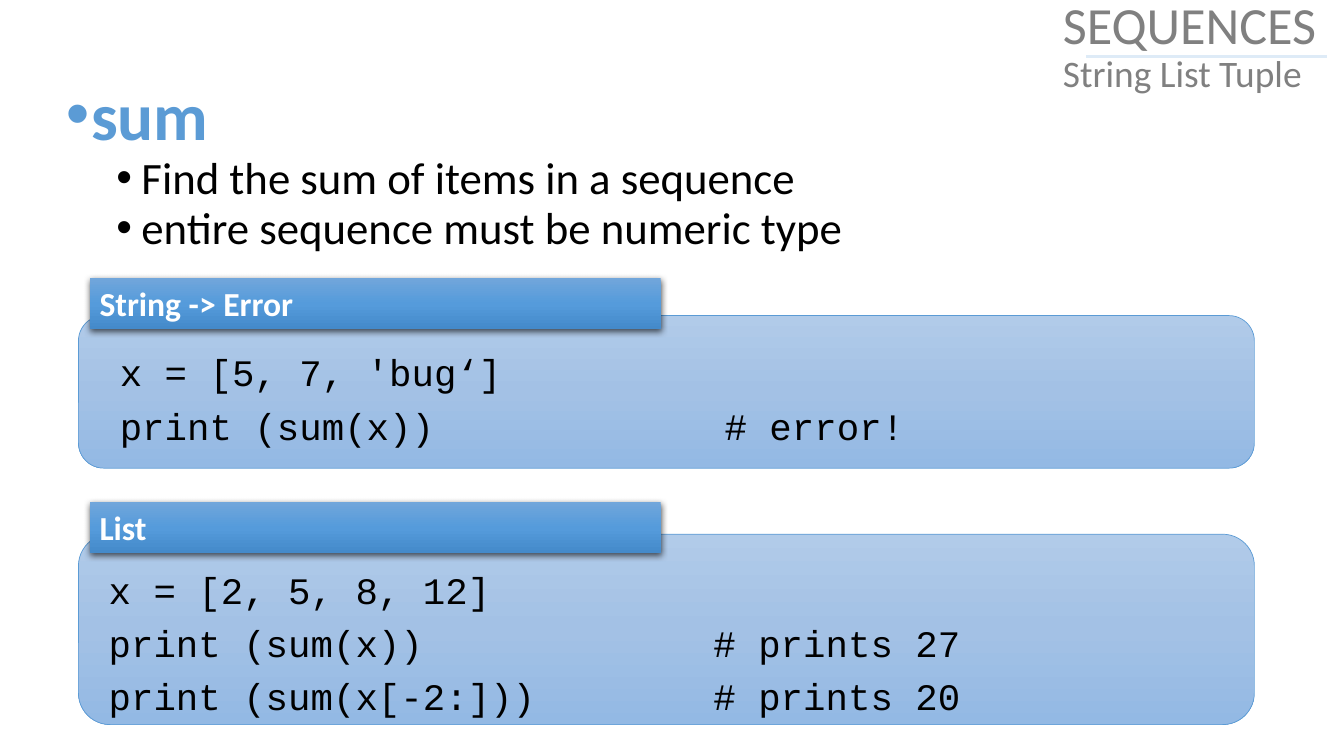
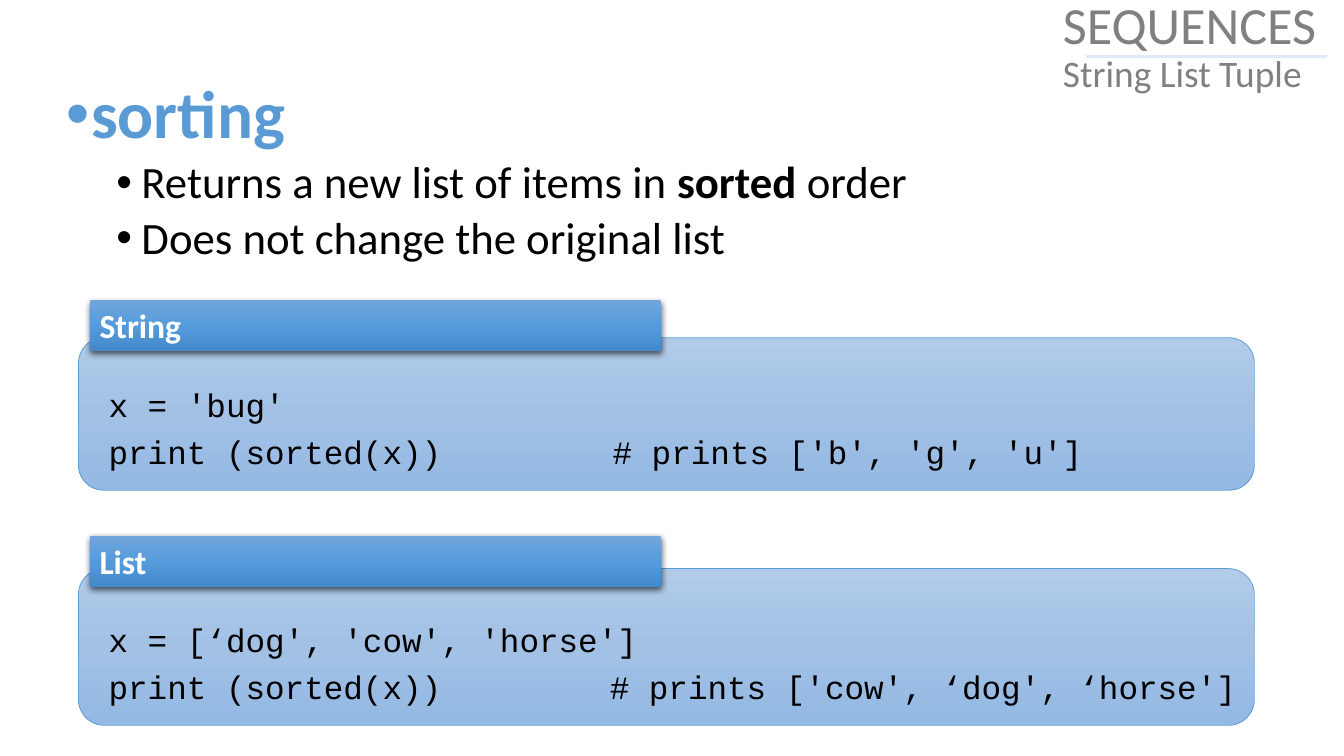
from copy import deepcopy

from pptx import Presentation
from pptx.dml.color import RGBColor
from pptx.enum import shapes as es, text as et
from pptx.oxml.ns import qn
from pptx.oxml.xmlchemy import OxmlElement
from pptx.util import Pt

# Colours and fonts
BLUE = RGBColor(0x5B, 0x9B, 0xD5)
PALE = RGBColor(0xDE, 0xEB, 0xF7)
GREY = RGBColor(0x80, 0x80, 0x80)
BLACK = RGBColor(0, 0, 0)
WHITE = RGBColor(0xFF, 0xFF, 0xFF)
PANEL = [RGBColor(0xB1, 0xCB, 0xE9), RGBColor(0xA3, 0xC1, 0xE5),
         RGBColor(0x93, 0xB9, 0xE4)]
LABEL = [RGBColor(0x71, 0xA6, 0xDB), RGBColor(0x55, 0x9B, 0xDB),
         RGBColor(0x44, 0x8A, 0xCA)]
SANS, MONO = "Calibri", "Courier New"


def child(parent, tag, **attrs):
    """Append an XML element with the given attributes."""
    node = OxmlElement(tag)
    for key, value in attrs.items():
        node.set(key, str(value))
    parent.append(node)
    return node


def style(font, size, color, name=SANS, bold=False):
    font.size, font.name, font.bold = Pt(size), name, bold
    font.color.rgb = color


def shade(shape, colors):
    """Fill from top to bottom with evenly spaced colours."""
    shape.fill.gradient()
    shape.fill.gradient_angle = 270
    stops = shape._element.spPr.find(".//" + qn("a:gsLst"))
    while len(stops) < len(colors):
        stops.append(deepcopy(stops[-1]))
    for i, (stop, color) in enumerate(zip(shape.fill.gradient_stops, colors)):
        stop.color.rgb = color
        stop.position = i / (len(colors) - 1)


class Deck:
    def __init__(self):
        self.prs = Presentation()
        self.prs.slide_width, self.prs.slide_height = Pt(960), Pt(540)
        self.slide = None

    def page(self):
        """Start a slide with the shared title and rule."""
        self.slide = self.prs.slides.add_slide(self.prs.slide_layouts[5])
        title = self.slide.shapes.title
        title.left, title.top = Pt(752), Pt(-2)
        title.width, title.height = Pt(216), Pt(72)
        frame = title.text_frame
        frame.auto_size = et.MSO_AUTO_SIZE.NONE
        frame.vertical_anchor = et.MSO_ANCHOR.MIDDLE
        para = frame.paragraphs[0]
        para.alignment, para.line_spacing = et.PP_ALIGN.LEFT, 0.9
        style(para.font, 26.7, GREY)
        head = para.add_run()
        head.text, head.font.size = "SEQUENCES", Pt(37.3)
        para.add_line_break()
        para.add_run().text = "String List Tuple"
        rule = self.slide.shapes.add_connector(
            es.MSO_CONNECTOR.STRAIGHT, Pt(776), Pt(40.5), Pt(948), Pt(40.5))
        rule.line.color.rgb, rule.line.width = PALE, Pt(2)
        child(rule._element.spPr, "a:effectLst")

    def body(self, top, height, gap, head, points):
        """Heading and bullets; text between asterisks is bold."""
        box = self.slide.shapes.add_textbox(
            Pt(40), Pt(top), Pt(864), Pt(height))
        frame = box.text_frame
        frame.word_wrap = True
        for i, line in enumerate([head] + points):
            para = frame.add_paragraph() if i else frame.paragraphs[0]
            props = para._p.get_or_add_pPr()
            props.set("marL", str(Pt(54 if i else 18)))
            props.set("indent", str(Pt(-18)))
            child(props, "a:buFont", typeface="Arial")
            child(props, "a:buChar", char="•")
            para.line_spacing, para.space_before = gap, Pt(5 if i else 10)
            if i:
                style(para.font, 32, BLACK)
            else:
                style(para.font, 48, BLUE, bold=True)
            for j, part in enumerate(line.split("*")):
                run = para.add_run()
                run.text = part
                if j % 2:
                    run.font.bold = True

    def panel(self, top, height, label, label_top, code, code_top,
              size, tab, left=56):
        """Rounded code panel with a label on its upper edge."""
        group = self.slide.shapes.add_group_shape().shapes
        # Panel
        back = group.add_shape(es.MSO_SHAPE.ROUNDED_RECTANGLE,
                               Pt(56), Pt(top), Pt(840), Pt(height))
        back.shadow.inherit = False
        shade(back, PANEL)
        back.line.color.rgb, back.line.width = BLUE, Pt(0.5)
        # Code, with comments aligned at a tab stop
        box = group.add_textbox(Pt(left), Pt(code_top), Pt(856),
                                Pt(top + height - code_top))
        frame = box.text_frame
        frame.word_wrap = True
        frame.margin_left, frame.margin_right = Pt(21.6), Pt(9.6)
        frame.margin_top = frame.margin_bottom = Pt(4.8)
        for i, line in enumerate(code):
            para = frame.add_paragraph() if i else frame.paragraphs[0]
            tabs = child(para._p.get_or_add_pPr(), "a:tabLst")
            child(tabs, "a:tab", pos=Pt(tab), algn="l")
            para.space_before = Pt(6)
            style(para.font, size, BLACK, MONO)
            para.add_run().text = line
        # Label
        tag = group.add_shape(es.MSO_SHAPE.RECTANGLE,
                              Pt(64), Pt(label_top), Pt(408), Pt(36.4))
        shade(tag, LABEL)
        tag.line.fill.background()
        tag.shadow.inherit = False
        effects = tag._element.spPr.find(qn("a:effectLst"))
        shadow = child(effects, "a:outerShdw", blurRad=Pt(4.5), dist=Pt(1.5),
                       dir=5400000, algn="ctr", rotWithShape=0)
        child(child(shadow, "a:srgbClr", val=BLACK), "a:alpha", val=63000)
        frame = tag.text_frame
        frame.word_wrap = True
        frame.vertical_anchor = et.MSO_ANCHOR.TOP
        para = frame.paragraphs[0]
        para.alignment = et.PP_ALIGN.LEFT
        style(para.font, 24, WHITE, bold=True)
        para.add_run().text = label


def main():
    deck = Deck()

    # Sum
    deck.page()
    deck.body(60, 131, 0.8, "sum", ["Find the sum of items in a sequence",
                                    "entire sequence must be numeric type"])
    deck.panel(225.4, 109, "String -> Error", 198.7,
               ["x = [5, 7, 'bug‘]", "print (sum(x))\t# error!"],
               244.8, 26.7, 432, left=64)
    deck.panel(381.6, 136, "List", 358.6,
               ["x = [2, 5, 8, 12]", "print (sum(x))\t# prints 27",
                "print (sum(x[-2:]))\t# prints 20"],
               400.3, 26.7, 432)

    # Sorting
    deck.page()
    deck.body(54, 152, 0.9, "sorting",
              ["Returns a new list of items in *sorted* order",
               "Does not change the original list"])
    deck.panel(241.2, 109, "String", 214.6,
               ["x = 'bug'", "print (sorted(x))\t# prints ['b', 'g', 'u']"],
               270, 23.3, 360)
    deck.panel(406.1, 112, "List", 383,
               ["x = [‘dog', 'cow', 'horse']",
                "print (sorted(x))\t# prints ['cow', ‘dog', ‘horse']"],
               437.8, 23.3, 358)

    deck.prs.save("out.pptx")


if __name__ == "__main__":
    main()
